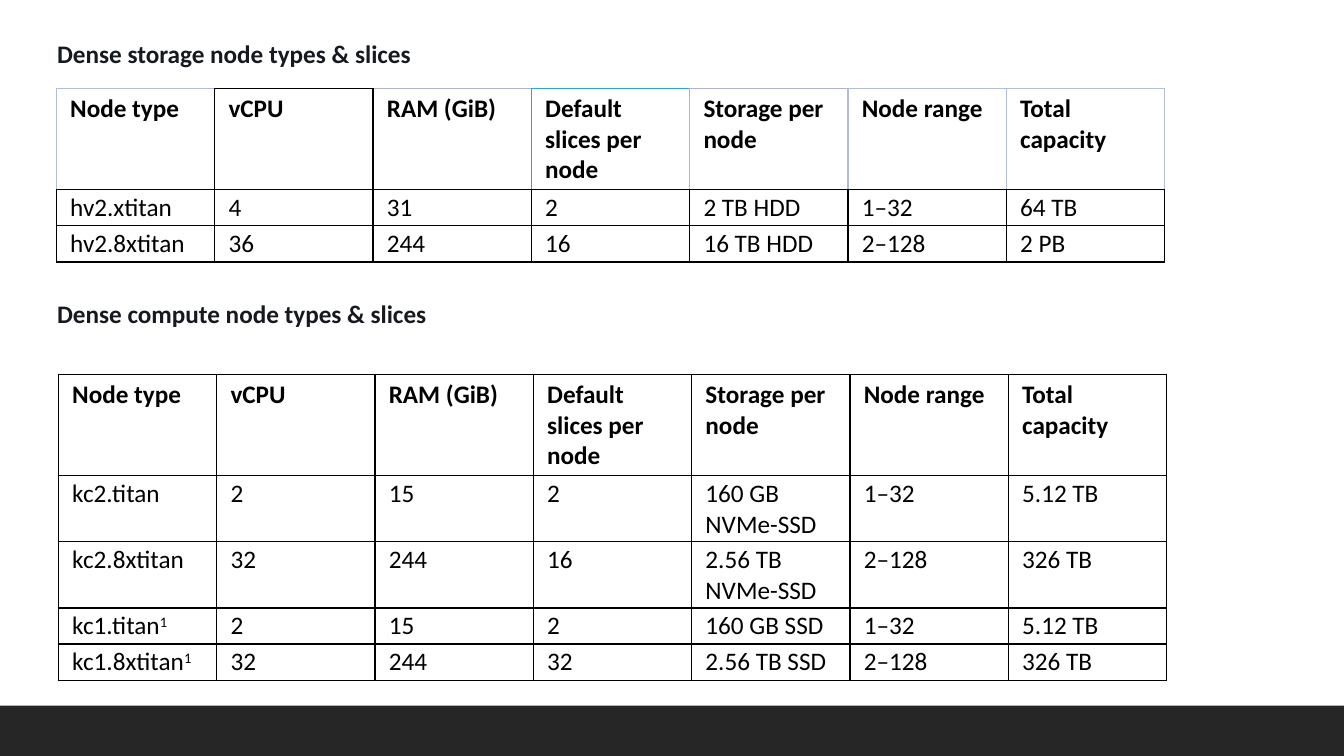
from lxml import etree
from pptx import Presentation
from pptx.dml.color import RGBColor
from pptx.enum.shapes import MSO_SHAPE
from pptx.enum.text import MSO_AUTO_SIZE
from pptx.oxml.ns import qn
from pptx.util import Cm, Pt

BLACK = "000000"
COLUMN_NAMES = ["Node type", "vCPU", "RAM (GiB)", "Default slices per node",
                "Storage per node", "Node range", "Total capacity"]
HEADER_HEIGHT, ONE_LINE, TWO_LINES = 2.56, 0.91, 1.66

# Header borders of the storage table: eight vertical edges, seven top edges
PALE_EDGES = ["B0BFD5", BLACK, BLACK, "30A2D5", "B0B2D5", "B0BDD5", "B0BFD5", "B0BFD5"]
PALE_TOPS = ["B0BFD5", BLACK, "B0B2D5", "30A2D5", "B0B2D5", "B0BDD5", "B0BFD5"]

STORAGE_ROWS = [
    ["hv2.xtitan", "4", "31", "2", "2 TB HDD", "1–32", "64 TB"],
    ["hv2.8xtitan", "36", "244", "16", "16 TB HDD", "2–128", "2 PB"],
]
COMPUTE_ROWS = [
    ["kc2.titan", "2", "15", "2", "160 GB NVMe-SSD", "1–32", "5.12 TB"],
    ["kc2.8xtitan", "32", "244", "16", "2.56 TB NVMe-SSD", "2–128", "326 TB"],
    ["kc1.titan", "2", "15", "2", "160 GB SSD", "1–32", "5.12 TB"],
    ["kc1.8xtitan", "32", "244", "32", "2.56 TB SSD", "2–128", "326 TB"],
]
# left, top, body rows, body row heights, header edges, header tops
TABLES = [
    (1.42, 2.22, STORAGE_ROWS, [ONE_LINE] * 2, PALE_EDGES, PALE_TOPS),
    (1.47, 9.43, COMPUTE_ROWS, [TWO_LINES] * 2 + [ONE_LINE] * 2, [BLACK] * 8, [BLACK] * 7),
]
HEADINGS = [
    ("Dense storage node types & slices", 0.84, 11.1),
    ("Dense compute node types & slices", 7.4, 11.45),
]


def style_span(span, color, bold):
    span.font.name = "Calibri"
    span.font.size = Pt(18)
    span.font.bold = bold
    span.font.color.rgb = RGBColor.from_string(color)


def set_borders(cell, borders):
    """Draw borders given as (side, colour, points) in the order L, R, T, B."""
    props = cell._tc.get_or_add_tcPr()
    for index, (side, color, points) in enumerate(borders):
        line = etree.Element(qn(f"a:ln{side}"), w=str(Pt(points)))
        fill = etree.SubElement(line, qn("a:solidFill"))
        etree.SubElement(fill, qn("a:srgbClr"), val=color)
        props.insert(index, line)


deck = Presentation()
deck.slide_width, deck.slide_height = Cm(33.87), Cm(19.05)
page = deck.slides.add_slide(deck.slide_layouts[6])

footer = page.shapes.add_shape(MSO_SHAPE.RECTANGLE, 0, Cm(17.78), deck.slide_width, Cm(1.27))
footer.shadow.inherit = False
footer.fill.solid()
footer.fill.fore_color.rgb = RGBColor.from_string("262626")
footer.line.fill.background()

for heading, top, width in HEADINGS:
    box = page.shapes.add_textbox(Cm(1.19), Cm(top), Cm(width), Cm(1.02))
    box.text_frame.word_wrap = False
    box.text_frame.auto_size = MSO_AUTO_SIZE.SHAPE_TO_FIT_TEXT
    box.text_frame.text = heading
    style_span(box.text_frame.paragraphs[0].runs[0], "16191F", True)

for left, top, body, body_heights, edges, tops in TABLES:
    rows = [COLUMN_NAMES] + body
    heights = [HEADER_HEIGHT] + body_heights
    table = page.shapes.add_table(len(rows), len(COLUMN_NAMES), Cm(left), Cm(top),
                                  Cm(27.93), Cm(sum(heights))).table
    table.first_row = table.horz_banding = False
    for column in table.columns:
        column.width = Cm(3.99)
    for r, (values, height) in enumerate(zip(rows, heights)):
        is_header = r == 0
        table.rows[r].height = Cm(height)
        for c, value in enumerate(values):
            cell = table.cell(r, c)
            cell.fill.background()
            cell.margin_left = cell.margin_right = Cm(0.35)
            cell.margin_top = cell.margin_bottom = Cm(0.13 if is_header else 0.07)
            cell.text = value
            para = cell.text_frame.paragraphs[0]
            if value.startswith("kc1."):
                footnote = para.add_run()
                footnote.text = "1"
                footnote.font._element.set("baseline", "30000")
            for span in para.runs:
                style_span(span, BLACK, is_header)

            left_color, right_color, top_color = BLACK, BLACK, BLACK
            if is_header:
                left_color, right_color, top_color = edges[c], edges[c + 1], tops[c]
            right_width = 0.5 if right_color != BLACK and c == len(values) - 1 else 1
            set_borders(cell, [("L", left_color, 1), ("R", right_color, right_width),
                               ("T", top_color, 1), ("B", BLACK, 1)])

deck.save("out.pptx")
